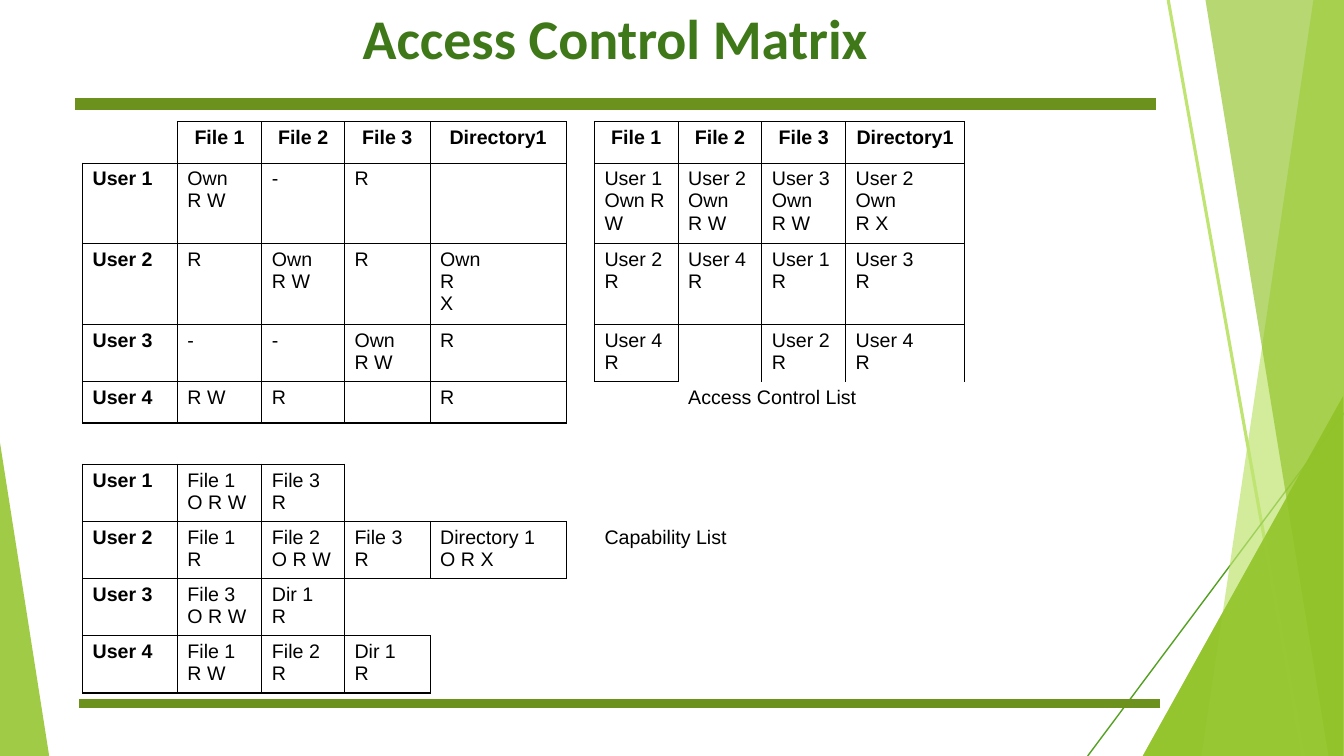
from lxml.etree import SubElement as Sub
from pptx import Presentation
from pptx.dml.color import RGBColor
from pptx.enum.shapes import MSO_CONNECTOR as Conn, MSO_SHAPE as Shape
from pptx.enum.text import MSO_ANCHOR as Anchor, PP_ALIGN as Align
from pptx.oxml.ns import qn
from pptx.util import Cm, Pt

LEAF = RGBColor(0x90, 0xC2, 0x26)
LIME = RGBColor(0xBF, 0xE4, 0x71)
GRASS = RGBColor(0x54, 0xA0, 0x21)
MOSS = RGBColor(0x6C, 0x91, 0x1C)
PINE = RGBColor(0x3F, 0x78, 0x19)
BLACK = RGBColor(0, 0, 0)

WIDE, HIGH = 33.87, 19.05
ROW = 1.04
COLS = [2.39, 2.13, 2.08, 2.16, 3.43, 0.71, 2.11, 2.11, 2.11, 3, 0.66, 1.83, 1.83]
OPEN = "."

GRID = """
.|File 1|File 2|File 3|Directory1|.|File 1|File 2|File 3|Directory1
User 1|Own/R W|-|R||.|User 1/Own R W|User 2/Own/R W|User 3/Own/R W|User 2/Own/R X
User 2|R|Own/R W|R|Own/R/X|.|User 2/R|User 4/R|User 1/R|User 3/R
User 3|-|-|Own/R W|R|.|User 4/R|.|User 2/R|User 4/R
User 4|R W|R||R
.
User 1|File 1/O R W|File 3/R
User 2|File 1/R|File 2/O R W|File 3/R|Directory 1/O R X
User 3|File 3/O R W|Dir 1/R
User 4|File 1/R W|File 2/R|Dir 1/R
"""
NOTES = [(4, 7, 3, "Access Control List"), (7, 6, 2, "Capability List")]
SIDES = {"lnL": (0, -1), "lnR": (0, 1), "lnT": (-1, 0), "lnB": (1, 0)}


class Deck:
    head = {"name": "Calibri", "size": Pt(40), "bold": True}
    body = {"name": "Arial", "size": Pt(14), "bold": False}

    def __init__(self):
        self.prs = Presentation()
        self.prs.slide_width, self.prs.slide_height = Cm(WIDE), Cm(HIGH)
        self.slide = self.prs.slides.add_slide(self.prs.slide_layouts[6])
        self.shapes = self.slide.shapes

    def paint(self, shape, color, alpha):
        shape.shadow.inherit = False
        shape.fill.solid()
        shape.fill.fore_color.rgb = color
        shape.line.fill.background()
        tint = shape._element.spPr.find(qn("a:solidFill"))[0]
        Sub(tint, qn("a:alpha"), val=str(alpha * 1000))

    def wedge(self, box, tip, alpha):
        shape = self.shapes.add_shape(Shape.ISOSCELES_TRIANGLE, *map(Cm, box))
        shape.adjustments[0] = tip
        self.paint(shape, LEAF, alpha)

    def shard(self, points, color, alpha):
        first, *rest = [(Cm(x), Cm(y)) for x, y in points]
        form = self.shapes.build_freeform(*first)
        form.add_line_segments(rest, close=True)
        self.paint(form.convert_to_shape(), color, alpha)

    def line(self, ends, color, width):
        link = self.shapes.add_connector(Conn.STRAIGHT, *map(Cm, ends))
        link.line.color.rgb = color
        link.line.width = Pt(width)
        Sub(link._element.spPr, qn("a:effectLst"))

    def label(self, frame, text, style, color, align):
        frame.text = text.replace("/", "\n")
        for para in frame.paragraphs:
            para.alignment = align
            for run in para.runs:
                for key, value in style.items():
                    setattr(run.font, key, value)
                run.font.color.rgb = color

    def title(self, text, box):
        frame = self.shapes.add_textbox(*map(Cm, box)).text_frame
        form = {"word_wrap": True, "vertical_anchor": Anchor.TOP, "margin_left": 0,
                "margin_right": 0, "margin_top": 0, "margin_bottom": 0}
        for key, value in form.items():
            setattr(frame, key, value)
        self.label(frame, text, self.head, PINE, Align.CENTER)

    def edge(self, cell, drawn):
        props = cell._tc.get_or_add_tcPr()
        for side in SIDES:
            line = Sub(props, qn("a:" + side), w=str(Pt(1)))
            if side in drawn:
                fill = Sub(line, qn("a:solidFill"))
                Sub(fill, qn("a:srgbClr"), val=str(BLACK))
            else:
                Sub(line, qn("a:noFill"))
        cell.fill.background()

    def table(self, left, top, grid, notes):
        size = len(grid), len(COLS)
        area = map(Cm, (left, top, sum(COLS), ROW * len(grid)))
        table = self.shapes.add_table(*size, *area).table
        table.first_row = table.horz_banding = False
        for col, width in zip(table.columns, COLS):
            col.width = Cm(width)
        boxed = {(r, c): text for r, row in enumerate(grid)
                 for c, text in enumerate(row) if text != OPEN}
        noted = {(r, c + i) for r, c, span, _ in notes for i in range(span)}
        for r in range(size[0]):
            for c in range(size[1]):
                cell = table.cell(r, c)
                near = {side for side, (y, x) in SIDES.items()
                        if (r, c) in boxed or (r + y, c + x) in boxed}
                self.edge(cell, set() if (r, c) in noted else near)
                if boxed.get((r, c)):
                    style = self.body | {"bold": r == 0 or c == 0}
                    align = Align.LEFT if r else Align.CENTER
                    self.label(cell.text_frame, boxed[r, c], style, BLACK, align)
        for r, c, span, text in notes:
            cell = table.cell(r, c)
            cell.merge(table.cell(r, c + span - 1))
            self.label(cell.text_frame, text, self.body, BLACK, Align.LEFT)


def main():
    deck = Deck()
    right = (28.8, 9.98, 5.05, 9.07)
    deck.wedge(right, 1, 80)
    deck.wedge((0, 11.15, 1.24, 7.9), 0, 85)
    deck.line((29.44, 0, 32.84, HIGH), LIME, 2.25)
    deck.line((WIDE, 10.41, 27.41, HIGH), GRASS, 1)
    deck.shard([(33.1, 0), (WIDE, 0), (WIDE, HIGH), (30.28, HIGH)], LIME, 70)
    deck.shard([(30.38, 0), (WIDE, 0), (WIDE, HIGH), (33.48, HIGH)], LEAF, 65)
    deck.wedge(right, 1, 80)
    deck.line((29.13, 2.62, 1.88, 2.62), MOSS, 8.75)
    deck.line((29.24, 17.73, 1.98, 17.73), MOSS, 6)
    deck.title("Access Control Matrix", (1.88, 0.08, 27.25, 2.57))
    grid = [row.split("|") for row in GRID.strip().splitlines()]
    deck.table(2.08, 3.07, grid, NOTES)
    deck.prs.save("out.pptx")


if __name__ == "__main__":
    main()
